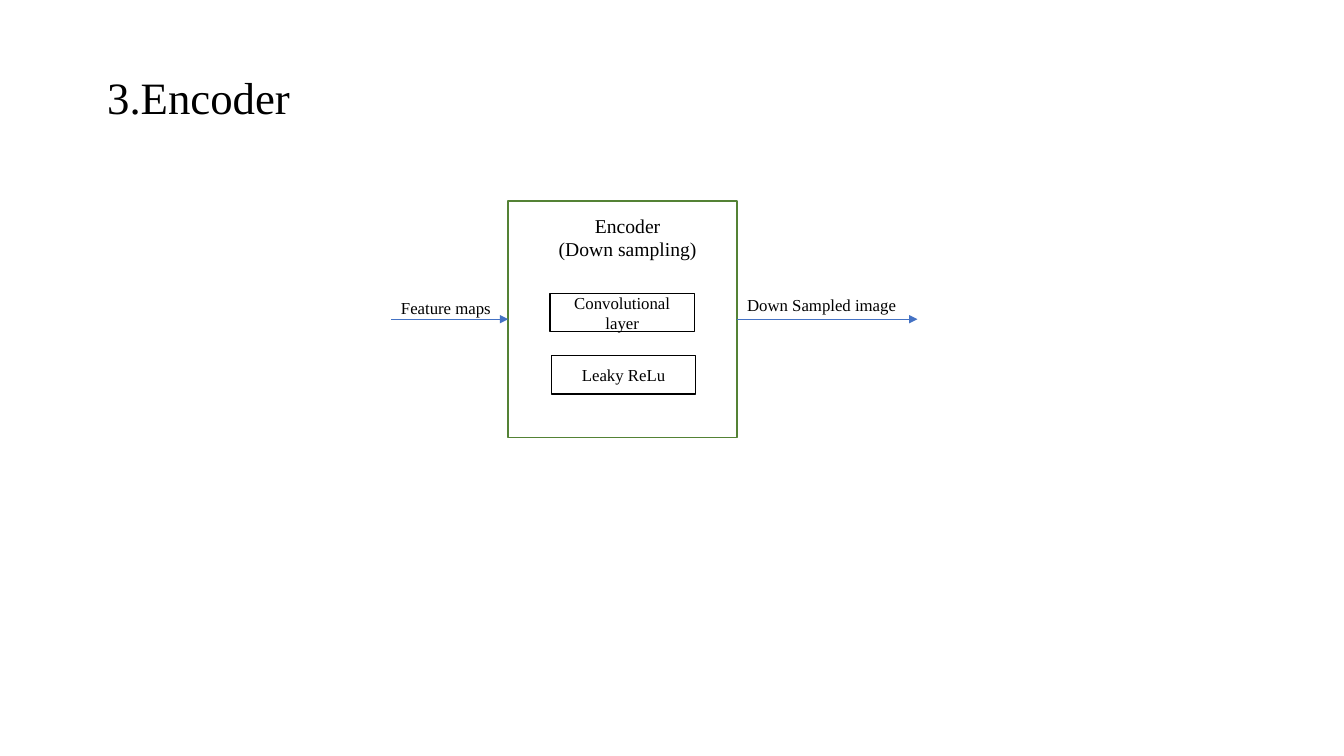
from lxml.etree import SubElement
from pptx import Presentation
from pptx.dml.color import RGBColor
from pptx.enum.shapes import MSO_CONNECTOR as Connector, MSO_SHAPE as Shape
from pptx.enum.text import MSO_ANCHOR as Anchor, MSO_AUTO_SIZE as AutoSize, PP_ALIGN as Align
from pptx.oxml.ns import qn
from pptx.util import Pt

COLORS = {"paper": "FFFFFF", "ink": "000000", "encoder": "548235", "arrow": "4472C4"}


class DiagramSlide:
    """Holds the diagram style and the slide being drawn."""

    font_name = "Times New Roman"

    def __init__(self, presentation):
        self.slide = presentation.slides.add_slide(presentation.slide_layouts[5])

    def color(self, name):
        return RGBColor.from_string(COLORS[name])

    def set_text(self, shape, text, size, align, anchor, wrap=True):
        frame = shape.text_frame
        frame.text = text
        frame.word_wrap = wrap
        frame.auto_size = AutoSize.NONE
        frame.vertical_anchor = anchor
        for paragraph in frame.paragraphs:
            paragraph.alignment = align
            paragraph.font.name = self.font_name
            paragraph.font.size = Pt(size)
            paragraph.font.color.rgb = self.color("ink")

    def title(self, text, left, top, width, height):
        shape = self.slide.shapes.title
        shape.left, shape.top, shape.width, shape.height = map(Pt, (left, top, width, height))
        self.set_text(shape, text, 32, Align.LEFT, Anchor.TOP, wrap=False)

    def box(self, left, top, width, height, line, text=""):
        shape = self.slide.shapes.add_shape(Shape.RECTANGLE, *map(Pt, (left, top, width, height)))
        shape.shadow.inherit = False
        shape.fill.solid()
        shape.fill.fore_color.rgb = self.color("paper")
        shape.line.color.rgb = self.color(line)
        shape.line.width = Pt(1)
        if text:
            self.set_text(shape, text, 12, Align.CENTER, Anchor.MIDDLE)

    def label(self, text, left, top, width, height, size=12, align=Align.LEFT):
        shape = self.slide.shapes.add_textbox(*map(Pt, (left, top, width, height)))
        self.set_text(shape, text, size, align, Anchor.TOP)

    def arrow(self, start, end, y):
        connector = self.slide.shapes.add_connector(Connector.STRAIGHT, *map(Pt, (start, y, end, y)))
        connector.line.color.rgb = self.color("arrow")
        connector.line.width = Pt(0.5)
        properties = connector._element.spPr
        SubElement(properties.find(qn("a:ln")), qn("a:tailEnd"), type="triangle")
        SubElement(properties, qn("a:effectLst"))


def main():
    presentation = Presentation()
    presentation.slide_width, presentation.slide_height = Pt(960), Pt(540)
    diagram = DiagramSlide(presentation)
    diagram.title("3.Encoder", 69.3, 46, 146, 46)

    left, top, width, height = 363, 143.5, 163.5, 169
    right, middle = left + width, top + height / 2
    diagram.box(left, top, width, height, "encoder")
    diagram.label("Encoder\n(Down sampling)", 385.3, 149, 126, 41, 14, Align.CENTER)
    for text, layer_left, layer_top in (
        ("Convolutional layer", 393, 209.5),
        ("Leaky ReLu", 394, 254),
    ):
        diagram.box(layer_left, layer_top, 103, 27.5, "ink", text)

    for text, start, end, label_top, label_width in (
        ("Feature maps", 279.3, left, 208.8, 83.7),
        ("Down Sampled image", right, 655.3, 206.8, 121.7),
    ):
        diagram.arrow(start, end, middle)
        diagram.label(text, start, label_top, label_width, 21.8)
    presentation.save("out.pptx")


if __name__ == "__main__":
    main()
